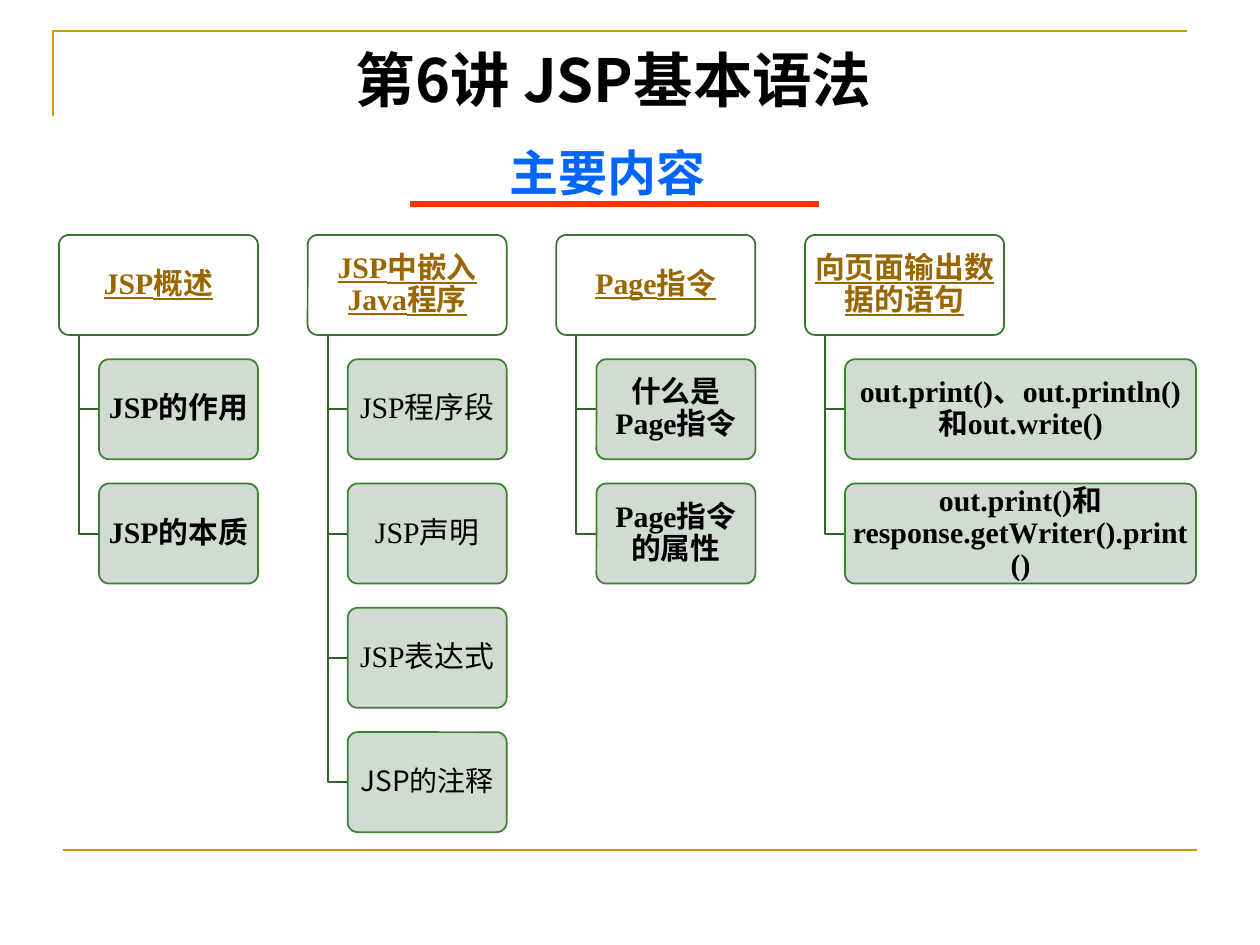
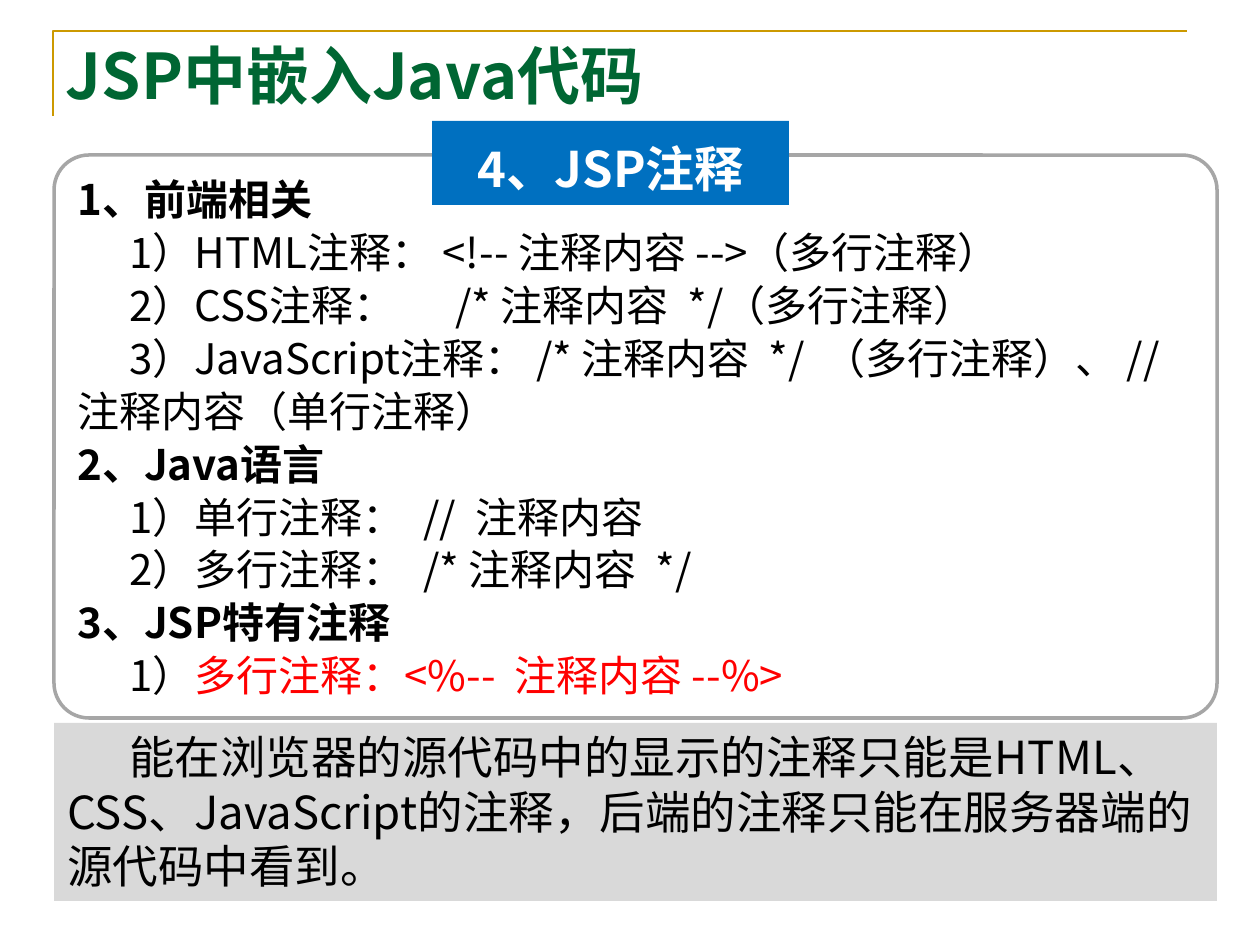
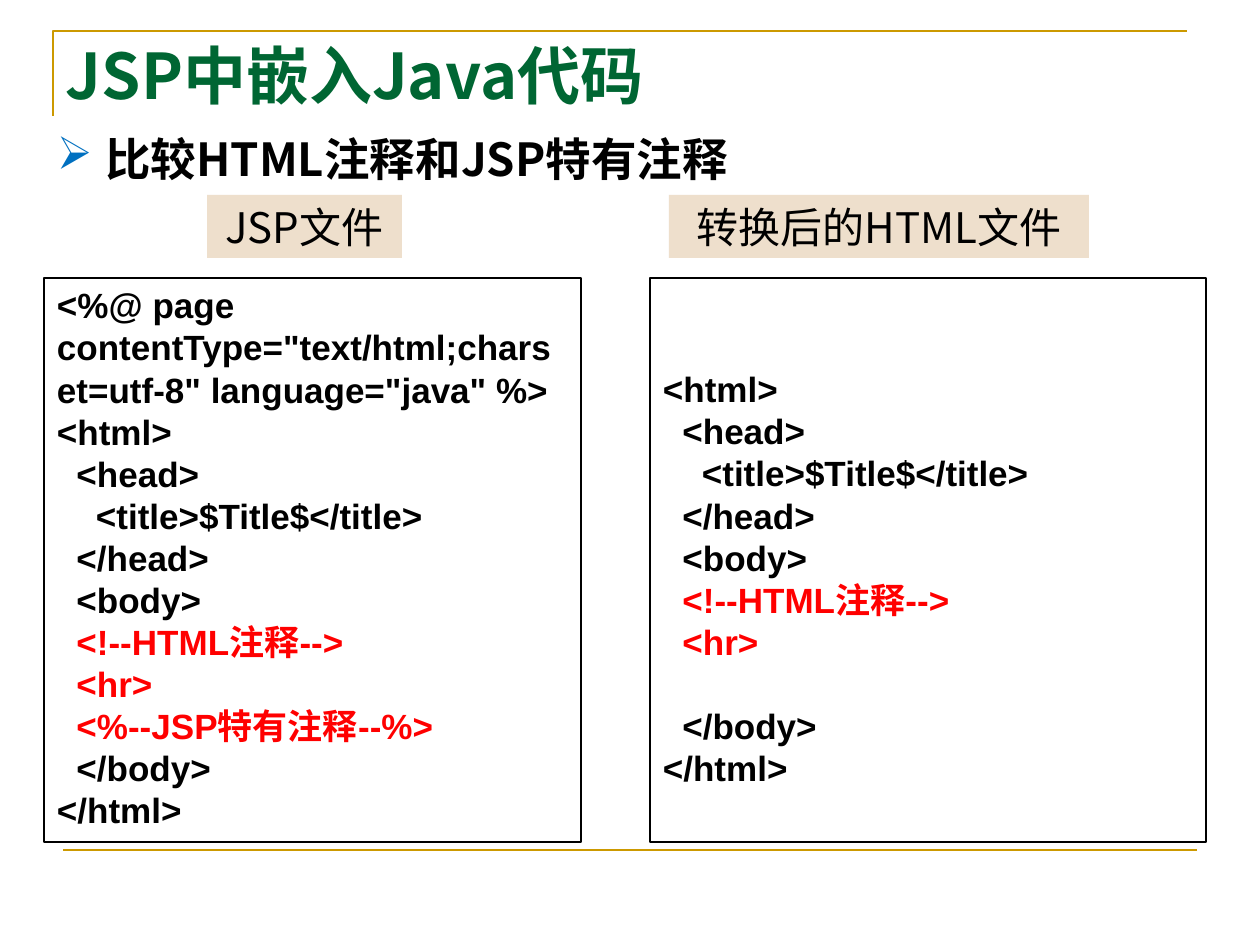
"""Builds three lecture slides on JSP syntax and comments."""
from dataclasses import dataclass

from lxml.etree import SubElement
from pptx import Presentation
from pptx.dml.color import RGBColor
from pptx.enum.shapes import MSO_CONNECTOR, MSO_SHAPE
from pptx.enum.text import MSO_ANCHOR, PP_ALIGN
from pptx.oxml.ns import qn
from pptx.util import Pt

SCALE = 914400 / 126


@dataclass(frozen=True)
class Theme:
    sans: str = "Noto Sans CJK SC"
    serif: str = "Times New Roman"
    code: str = "Arial"
    black: str = "000000"
    white: str = "FFFFFF"
    gold: str = "CC9900"
    green: str = "006633"
    blue: str = "0066FF"
    badge: str = "0070C0"
    red: str = "FF0000"
    rule: str = "FF3300"
    link: str = "996600"
    edge: str = "36752B"
    leaf: str = "CED8CD"
    rim: str = "3B812F"
    branch: str = "2F6726"
    gray: str = "D9D9D9"
    frame: str = "A6A6A6"
    sand: str = "EEDFCC"
    title: int = 36
    cover: int = 34
    head: int = 28
    lead: int = 26
    body: int = 24
    source: int = 20
    node: int = 17
    small: int = 16


T = Theme()
TITLE = "JSP中嵌入Java代码"
TREE = [
    ("JSP概述", 159, True, ["JSP的作用", "JSP的本质"]),
    ("JSP中嵌入Java程序", 159, False,
     ["JSP程序段", "JSP声明", "JSP表达式", "JSP的注释"]),
    ("Page指令", 159, True, ["什么是Page指令", "Page指令的属性"]),
    ("向页面输出数据的语句", 351, True,
     ["out.print()、out.println()和out.write()",
      "out.print()和response.getWriter().print()"]),
]
NOTES = [
    ("1、前端相关", [
        "1）HTML注释：\u00a0<!-- 注释内容\u00a0-->（多行注释）",
        "2）CSS注释：\t/* 注释内容 \u00a0*/（多行注释）",
        "3）JavaScript注释： /* 注释内容 \u00a0*/ \u00a0（多行注释）、 // 注释内容（单行注释）"]),
    ("2、Java语言", [
        "1）单行注释： \u00a0// \u00a0注释内容",
        "2）多行注释： \u00a0/* 注释内容 \u00a0*/"]),
    ("3、JSP特有注释", ["1）"]),
]
HEAD = [(0, "<html>"), (1, "<head>"), (2, "<title>$Title$</title>"),
        (1, "</head>"), (1, "<body>")]
MARKS = [(1, "<!--HTML注释-->"), (1, "<hr>")]
TAIL = [(1, "</body>"), (0, "</html>")]


def px(n):
    return round(n * SCALE)


def rgb(code):
    return RGBColor.from_string(code)


def style(run, size, color=T.black, font=T.sans, bold=False, under=False):
    face = run.font
    face.name, face.size, face.bold = font, Pt(size), bold
    face.color.rgb = rgb(color)
    if under:
        face.underline = True
    SubElement(run._r.get_or_add_rPr(), qn("a:ea")).set("typeface", T.sans)


def stroke(line, color, width):
    line.color.rgb = rgb(color)
    line.width = Pt(width)


def indent(par, first, left=0):
    props = par._p.get_or_add_pPr()
    props.set("marL", str(px(left)))
    props.set("indent", str(px(first)))
    return props


def prep(shape, pad=(13, 6), anchor=MSO_ANCHOR.TOP):
    frame = shape.text_frame
    frame.word_wrap = True
    frame.margin_left = frame.margin_right = px(pad[0])
    frame.margin_top = frame.margin_bottom = px(pad[1])
    frame.vertical_anchor = anchor
    return frame


def write(frame, text, size, align=PP_ALIGN.LEFT, gap=None, **look):
    par = frame.paragraphs[0]
    if par.runs:
        par = frame.add_paragraph()
    par.text = text
    par.alignment = align
    if gap:
        par.line_spacing = gap
    style(par.runs[0], size, **look)
    return par


def label(slide, box, anchor=MSO_ANCHOR.TOP):
    return prep(slide.shapes.add_textbox(*map(px, box)), anchor=anchor)


def panel(slide, box, fill=None, line=None, width=1, round_by=None):
    kind = MSO_SHAPE.RECTANGLE if round_by is None else MSO_SHAPE.ROUNDED_RECTANGLE
    shape = slide.shapes.add_shape(kind, *map(px, box))
    shape.shadow.inherit = False
    if round_by is not None:
        shape.adjustments[0] = round_by
    if fill:
        shape.fill.solid()
        shape.fill.fore_color.rgb = rgb(fill)
    else:
        shape.fill.background()
    if line:
        stroke(shape.line, line, width)
    else:
        shape.line.fill.background()
    return shape


def rule(slide, start, end, color, width):
    line = slide.shapes.add_connector(MSO_CONNECTOR.STRAIGHT, *map(px, start + end))
    stroke(line.line, color, width)
    SubElement(line._element.spPr, qn("a:effectLst"))


def bend(slide, points, color, width):
    first, *rest = points
    path = slide.shapes.build_freeform(*first, scale=SCALE)
    path.add_line_segments(rest, close=False)
    shape = path.convert_to_shape()
    shape.shadow.inherit = False
    shape.fill.background()
    stroke(shape.line, color, width)


def start(deck, title=None, foot=True):
    slide = deck.slides.add_slide(deck.slide_layouts[6])
    bend(slide, [(53, 116), (53, 31), (1187, 31)], T.gold, 1.5)
    if foot:
        rule(slide, (63, 850), (1197, 850), T.gold, 1.5)
    if title:
        frame = label(slide, (53, 0, 775, 118), MSO_ANCHOR.BOTTOM)
        write(frame, title, T.title, color=T.green, bold=True)
    return slide


def node(slide, box, text, fill, line, size=T.node, **look):
    shape = panel(slide, box, fill, line, round_by=0.1)
    frame = prep(shape, (5, 2), MSO_ANCHOR.MIDDLE)
    write(frame, text, size, PP_ALIGN.CENTER, 0.9, **look)
    return shape


def tree(slide, left, top, head, wide, bold, leaves):
    node(slide, (left, top, 199, 100), head, T.white, T.edge,
         color=T.link, font=T.serif, bold=True, under=True)
    for row, text in enumerate(leaves, 1):
        y = top + row * 124.3
        bend(slide, [(left + 20, top + 100), (left + 20, y + 50),
                     (left + 40, y + 50)], T.branch, 1)
        last = row == 4
        leaf = node(slide, (left + 40, y, wide, 100), text, T.leaf, T.rim,
                    T.small if last else T.node,
                    font=T.sans if last else T.serif, bold=bold)
        tint = leaf._element.spPr.find(qn("a:solidFill"))[0]
        SubElement(tint, qn("a:alpha")).set("val", "90000")


def outline(deck):
    slide = start(deck)
    write(label(slide, (170, 37, 887, 142)), "第6讲 JSP基本语法", T.cover,
          PP_ALIGN.CENTER, bold=True)
    write(label(slide, (48, 107, 1119, 115)), "主要内容", T.head,
          PP_ALIGN.CENTER, 1.5, color=T.blue, font=T.code, bold=True)
    rule(slide, (410, 204), (819, 204), T.rule, 3)
    for col, branch in enumerate(TREE):
        tree(slide, 59 + col * 248.7, 235, *branch)


def notes(deck):
    slide = start(deck, TITLE, foot=False)
    frame = prep(panel(slide, (54, 723, 1163, 178), T.gray))
    par = write(frame, "能在浏览器的源代码中的显示的注释只能是HTML、CSS、JavaScript的注释，"
                "后端的注释只能在服务器端的源代码中看到。", T.lead)
    indent(par, 62)
    frame = prep(panel(slide, (54, 155, 1163, 563), None, T.frame, 2, 0.062))
    for head, items in NOTES:
        write(frame, head, T.body, gap=1.05, bold=True)
        for item in items:
            par = write(frame, item, T.body, gap=1.05)
            indent(par, 52)
    run = par.add_run()
    run.text = "多行注释：<%-- \u00a0注释内容\u00a0--%>"
    style(run, T.body, T.red)
    frame = prep(panel(slide, (432, 121, 357, 84), T.badge))
    write(frame, "4、JSP注释", T.head, PP_ALIGN.CENTER, 1.2,
          color=T.white, bold=True)


def code(frame, lines, color=T.black):
    for level, text in lines:
        par = write(frame, text, T.source, color=color, font=T.code, bold=True)
        indent(par, 0, level * 19.5)


def tag(slide, box, text):
    frame = prep(panel(slide, box, T.sand), anchor=MSO_ANCHOR.MIDDLE)
    frame.word_wrap = False
    write(frame, text, T.body, PP_ALIGN.CENTER)


def compare(deck):
    slide = start(deck, TITLE)
    par = write(label(slide, (44, 125, 1216, 70)), "比较HTML注释和JSP特有注释",
                T.lead, bold=True)
    props = indent(par, -48, 48)
    tint = SubElement(props, qn("a:buClr"))
    SubElement(tint, qn("a:srgbClr")).set("val", T.badge)
    SubElement(props, qn("a:buChar")).set("char", "➢")

    frame = prep(panel(slide, (44, 278, 537, 564), None, T.black, 0.75))
    page = '<%@ page contentType="text/html;charset=utf-8" language="java" %>'
    code(frame, [(0, page)] + HEAD)
    code(frame, MARKS + [(1, "<%--JSP特有注释--%>")], T.red)
    code(frame, TAIL)

    frame = prep(panel(slide, (650, 278, 556, 564), None, T.black, 0.75))
    frame.margin_top = px(90)
    code(frame, HEAD)
    code(frame, MARKS, T.red)
    code(frame, TAIL)
    frame.paragraphs[-2].space_before = Pt(24)

    tag(slide, (207, 195, 195, 63), "JSP文件")
    tag(slide, (669, 195, 420, 63), "转换后的HTML文件")


def main():
    deck = Presentation()
    deck.slide_width, deck.slide_height = px(1260), px(945)
    outline(deck)
    notes(deck)
    compare(deck)
    deck.save("out.pptx")


main()
